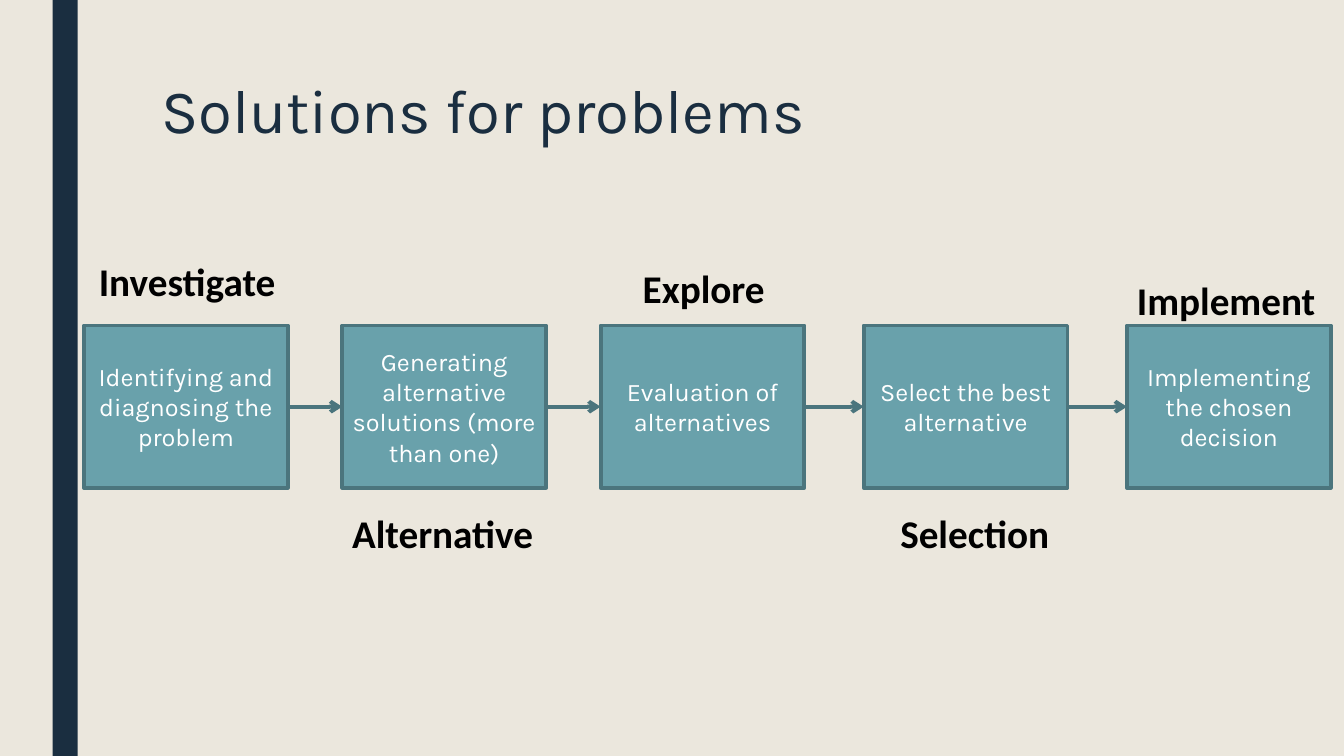
from lxml import etree
from pptx import Presentation
from pptx.dml.color import RGBColor
from pptx.enum import shapes, text
from pptx.oxml.ns import qn
from pptx.util import Pt

SAND = RGBColor(0xEB, 0xE7, 0xDD)
NAVY = RGBColor(0x1A, 0x2E, 0x40)
TEAL = RGBColor(0x69, 0xA1, 0xAB)
SLATE = RGBColor(0x4B, 0x75, 0x7D)
WHITE = RGBColor(0xFF, 0xFF, 0xFF)
BLACK = RGBColor(0, 0, 0)

W, H = 960, 540
STEP_W, STEP_H = 145.5, 116
LABEL_H = 41

# Step left, step text, label, label offset from the step's corner, label width
STEPS = [
    (60, "Identifying and diagnosing the problem", "Investigate", 3.5, -52.5, 142.5),
    (244.5, "Generating alternative solutions (more than one)", "Alternative", 0, 127.5, 145.5),
    (429, "Evaluation of alternatives", "Explore", 23, -47, 102),
    (617, "Select the best alternative", "Selection", 19, 127.5, 122.5),
    (805, "Implementing the chosen decision", "Implement", 0, -39, 149),
]


def write(sp, content, font="Karla", size=18, color=WHITE, bold=False,
          align=text.PP_ALIGN.LEFT, anchor=text.MSO_ANCHOR.TOP, wrap=True, spacing=None):
    tf = sp.text_frame
    tf.word_wrap = wrap
    tf.vertical_anchor = anchor
    p = tf.paragraphs[0]
    p.alignment = align
    p.line_spacing = spacing
    r = p.add_run()
    r.text = content
    r.font.name, r.font.size, r.font.bold = font, Pt(size), bold
    r.font.color.rgb = color


def add_box(s, x, y, w, h, fill, line=None):
    sp = s.shapes.add_shape(shapes.MSO_SHAPE.RECTANGLE, Pt(x), Pt(y), Pt(w), Pt(h))
    sp.shadow.inherit = False
    sp.fill.solid()
    sp.fill.fore_color.rgb = fill
    if line is None:
        sp.line.fill.background()
    else:
        sp.line.color.rgb = line
        sp.line.width = Pt(2.75)
    return sp


def add_arrow(s, start, end):
    cx = s.shapes.add_connector(shapes.MSO_CONNECTOR.STRAIGHT, 0, 0, 0, 0)
    cx.begin_connect(start, 3)
    cx.end_connect(end, 1)
    cx.line.color.rgb = SLATE
    cx.line.width = Pt(2.75)
    etree.SubElement(cx.line._get_or_add_ln(), qn("a:tailEnd"), type="arrow")
    etree.SubElement(cx._element.spPr, qn("a:effectLst"))


def add_title(s, x, y, w, h):
    sp = s.shapes.title
    sp.left, sp.top, sp.width, sp.height = Pt(x), Pt(y), Pt(w), Pt(h)
    sp.text_frame.auto_size = text.MSO_AUTO_SIZE.NONE
    write(sp, "Solutions for problems", size=44, color=NAVY, spacing=0.89)


def add_step(s, x, y, content, label, dx, dy, label_w):
    box = add_box(s, x, y, STEP_W, STEP_H, TEAL, SLATE)
    write(box, content, align=text.PP_ALIGN.CENTER, anchor=text.MSO_ANCHOR.MIDDLE)
    tb = s.shapes.add_textbox(Pt(x + dx), Pt(y + dy), Pt(label_w), Pt(LABEL_H))
    write(tb, label, font="Calibri", size=28, color=BLACK, bold=True,
          wrap=label == "Implement")
    tb.text_frame.auto_size = text.MSO_AUTO_SIZE.SHAPE_TO_FIT_TEXT
    return box


def add_process(s, y):
    boxes = [add_step(s, x, y, *rest) for x, *rest in STEPS]
    for start, end in zip(boxes, boxes[1:]):
        add_arrow(s, start, end)


def main():
    prs = Presentation()
    prs.slide_width, prs.slide_height = Pt(W), Pt(H)
    s = prs.slides.add_slide(prs.slide_layouts[5])

    # Background and side band
    s.background.fill.solid()
    s.background.fill.fore_color.rgb = SAND
    add_box(s, 37.5, 0, 18, H, NAVY)

    # Title and process
    add_title(s, 108, 54, 756, 116.5)
    add_process(s, 232.5)
    prs.save("out.pptx")


if __name__ == "__main__":
    main()
